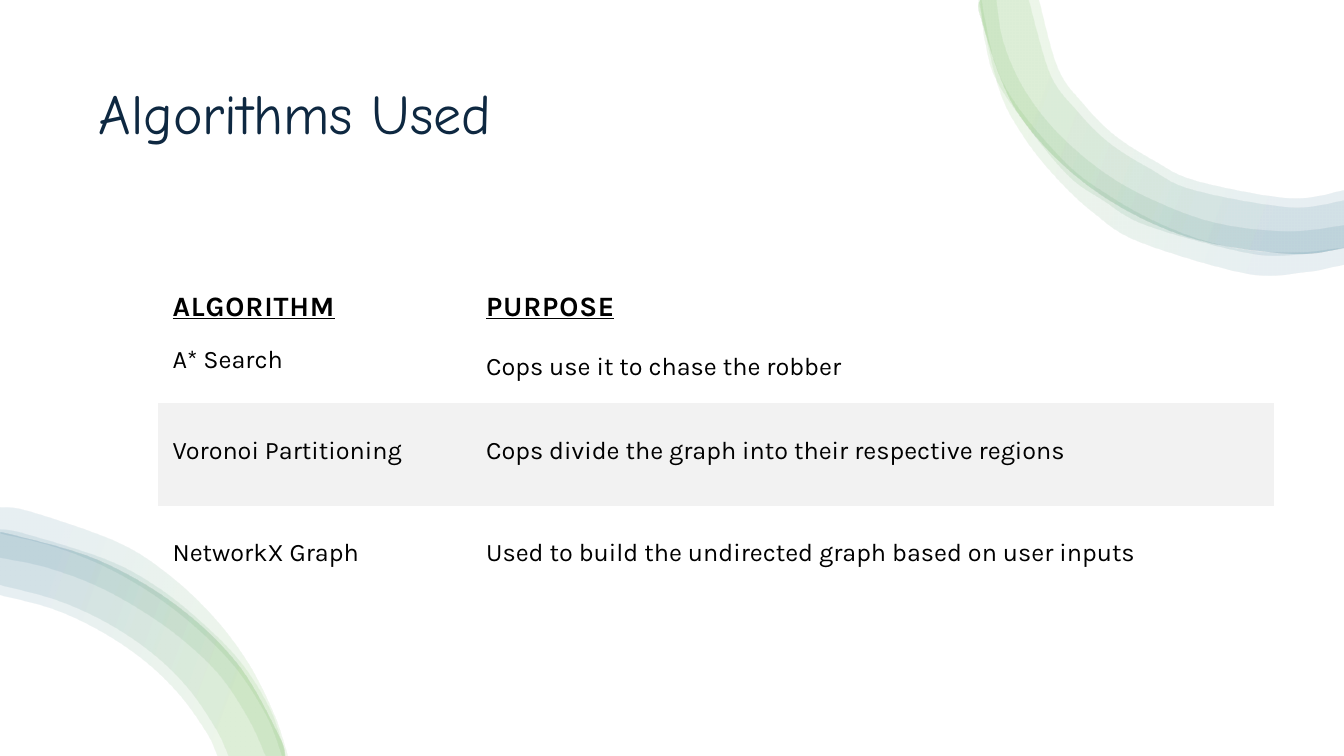
from lxml import etree
from pptx import Presentation
from pptx.dml.color import RGBColor
from pptx.enum.text import MSO_VERTICAL_ANCHOR as Anchor
from pptx.oxml.ns import qn
from pptx.util import Cm, Pt

COLORS = {"title": "0E2841", "text": "000000", "stripe": "F2F2F2",
          "green": "4EA72E", "blue": "156082"}
GRADIENT = [(16, "green"), (85, "blue")]
OPACITY = 10
GRID = 1000
NO_STYLE = "{2D5ABB26-0587-4C30-8999-92F81FD0307C}"

TOP_MAIN = [(0.03, 0), (0.04, 0.2), (0.39, 1.1), (1.1, 1.84), (2.04, 2.33),
            (3.09, 2.51), (3.64, 2.45)]
TOP_BANDS = [
    (TOP_MAIN,
     [(0.61, 0), (0.8, 0.68), (1.05, 1.03), (1.36, 1.34), (1.75, 1.59),
      (2.17, 1.79), (3.09, 1.96), (3.64, 1.88)]),
    (TOP_MAIN,
     [(0.51, 0), (0.72, 0.73), (0.98, 1.09), (1.3, 1.41), (1.71, 1.67),
      (2.14, 1.88), (3.09, 2.05), (3.64, 1.98)]),
    ([(0.03, 0), (0.08, 0.43), (0.24, 0.89), (0.84, 1.68), (1.25, 1.99),
      (1.69, 2.24), (2.69, 2.51), (3.21, 2.52), (3.64, 2.46)],
     [(0.19, 0), (0.25, 0.39), (0.42, 0.81), (0.68, 1.19), (1.01, 1.52),
      (1.39, 1.8), (1.8, 2.01), (2.25, 2.18), (2.72, 2.27), (3.19, 2.29),
      (3.64, 2.23)]),
    ([(0.01, 0), (0.21, 0.87), (0.44, 1.33), (0.76, 1.74), (1.15, 2.11),
      (1.61, 2.4), (2.66, 2.71), (3.22, 2.7), (3.64, 2.62)],
     [(0.04, 0), (0.17, 0.61), (0.4, 1.06), (0.89, 1.63), (1.29, 1.93),
      (1.73, 2.18), (2.2, 2.37), (2.69, 2.48), (3.2, 2.5), (3.64, 2.45)]),
]

BOTTOM_MAIN = [(0, 0.3), (0.11, 0.31), (0.96, 0.56), (1.73, 1), (2.35, 1.59),
               (2.76, 2.3), (2.82, 2.5)]
BOTTOM_BANDS = [
    ([(0, 0.04), (0.29, 0.08), (1.15, 0.38), (1.66, 0.7), (2.1, 1.11),
      (2.45, 1.57), (2.71, 2.08), (2.85, 2.5)],
     [(0, 0.3), (0.5, 0.42), (1.02, 0.62), (1.51, 0.9), (1.95, 1.24),
      (2.34, 1.64), (2.64, 2.11), (2.79, 2.5)]),
    (BOTTOM_MAIN,
     [(0, 0.91), (0.53, 1.05), (1, 1.27), (1.43, 1.56), (1.78, 1.9),
      (2.05, 2.28), (2.15, 2.5)]),
    ([(0, 0.26), (0.24, 0.3), (1.06, 0.56), (1.56, 0.83), (2, 1.18),
      (2.39, 1.58), (2.68, 2.05), (2.83, 2.5)],
     [(0, 0.54), (0.44, 0.63), (0.94, 0.81), (1.4, 1.06), (1.82, 1.36),
      (2.19, 1.72), (2.47, 2.15), (2.63, 2.5)]),
    (BOTTOM_MAIN,
     [(0, 0.81), (0.56, 0.96), (1.05, 1.18), (1.5, 1.48), (1.86, 1.83),
      (2.14, 2.24), (2.26, 2.5)]),
]

ROWS = [("ALGORITHM", "PURPOSE"),
        ("A* Search", "Cops use it to chase the robber"),
        ("Voronoi Partitioning",
         "Cops divide the graph into their respective regions"),
        ("NetworkX Graph",
         "Used to build the undirected graph based on user inputs")]
STRIPED_ROW = 2


def color(name):
    """Return the named colour."""
    return RGBColor.from_string(COLORS[name])


def style_font(para, name, size, shade):
    """Set the font of a whole paragraph."""
    font = para.font
    font.name, font.size = name, Pt(size)
    font.color.rgb = color(shade)
    return font


def round_edges(shape, lengths):
    """Turn each edge, a run of straight segments, into a smooth curve."""
    outline = shape._element.spPr.find(".//" + qn("a:path"))
    nodes = [point.getparent() for point in outline.iter(qn("a:pt"))]
    spots = [(int(node[0].get("x")), int(node[0].get("y"))) for node in nodes]
    begin = 0
    for length in lengths:
        edge = spots[begin:begin + length]
        padded = [edge[0], *edge, edge[-1]]
        windows = zip(padded, padded[1:], padded[2:], padded[3:])
        for node, (before, start, end, after) in zip(nodes[begin + 1:], windows):
            curve = etree.Element(qn("a:cubicBezTo"))
            leave = [b + (c - a) / 6 for a, b, c in zip(before, start, end)]
            arrive = [c - (d - b) / 6 for b, c, d in zip(start, end, after)]
            for x, y in (leave, arrive, end):
                etree.SubElement(curve, qn("a:pt"), x=str(round(x)), y=str(round(y)))
            outline.replace(node, curve)
        begin += length


def fill_gradient(shape, angle):
    """Give a shape the translucent green to blue gradient."""
    shape.fill.gradient()
    gradient = shape._element.spPr.find(qn("a:gradFill"))
    stops = gradient.find(qn("a:gsLst"))
    for stop in list(stops):
        stops.remove(stop)
    for position, name in GRADIENT:
        stop = etree.SubElement(stops, qn("a:gs"), pos=str(position * 1000))
        shade = etree.SubElement(stop, qn("a:srgbClr"), val=COLORS[name])
        etree.SubElement(shade, qn("a:alpha"), val=str(OPACITY * 1000))
    gradient.find(qn("a:lin")).set("ang", str(angle * 60000))


def add_ribbon(page, left, top, bands, angle):
    """Draw the overlapping bands of a corner ribbon from its top left."""
    for outer, inner in bands:
        first, *rest = [(round(x * GRID), round(y * GRID))
                        for x, y in outer + inner[::-1]]
        builder = page.shapes.build_freeform(*first, scale=Cm(2.54) / GRID)
        builder.add_line_segments(rest, close=True)
        band = builder.convert_to_shape(left, top)
        round_edges(band, (len(outer), len(inner)))
        band.shadow.inherit = False
        band.line.fill.background()
        fill_gradient(band, angle)


def add_title(page, left, top, width, height):
    """Write the slide title in its box."""
    frame = page.shapes.add_textbox(left, top, width, height).text_frame
    frame.word_wrap = True
    frame.vertical_anchor = Anchor.MIDDLE
    para = frame.paragraphs[0]
    para.text = "Algorithms Used"
    para.line_spacing = 0.9
    style_font(para, "Comic Neue", 40, "title")


def fill_cell(cell, text, row, column):
    """Write and style one table cell."""
    header = row == 0
    cell.text = text
    cell.margin_left = cell.margin_right = cell.margin_bottom = Cm(0.36)
    cell.margin_top = Cm(0.36 if header else 0.18)
    cell.vertical_anchor = Anchor.BOTTOM if header else Anchor.MIDDLE
    if (row, column) == (1, 0):
        cell.vertical_anchor = Anchor.TOP
    if row == STRIPED_ROW:
        cell.fill.solid()
        cell.fill.fore_color.rgb = color("stripe")
    else:
        cell.fill.background()
    font = style_font(cell.text_frame.paragraphs[0], "Karla",
                      20 if header else 18, "text")
    font.bold = font.underline = header
    if header:
        font._element.set("spc", "60")


def add_algorithms(page, left, top, width, height):
    """Place the table of algorithms and purposes."""
    table = page.shapes.add_table(len(ROWS), 2, left, top, width, height).table
    table.first_row = table.horz_banding = False
    table._tbl.tblPr.find(qn("a:tableStyleId")).text = NO_STYLE
    table.columns[0].width = Cm(7.9)
    table.columns[1].width = width - Cm(7.9)
    for row, row_height in enumerate((1.57, 1.63, 2.59, 2.59)):
        table.rows[row].height = Cm(row_height)
        for column, text in enumerate(ROWS[row]):
            fill_cell(table.cell(row, column), text, row, column)


def main():
    """Build the slide and save it."""
    deck = Presentation()
    deck.slide_width, deck.slide_height = Cm(33.87), Cm(19.05)
    page = deck.slides.add_slide(deck.slide_layouts[6])
    add_title(page, Cm(2.24), Cm(1.28), Cm(29.39), Cm(3.3))
    add_ribbon(page, Cm(24.64), Cm(0), TOP_BANDS, 20)
    add_ribbon(page, Cm(0), Cm(12.7), BOTTOM_BANDS, 200)
    add_algorithms(page, Cm(3.99), Cm(6.95), Cm(28.12), Cm(8.38))
    deck.save("out.pptx")


if __name__ == "__main__":
    main()
